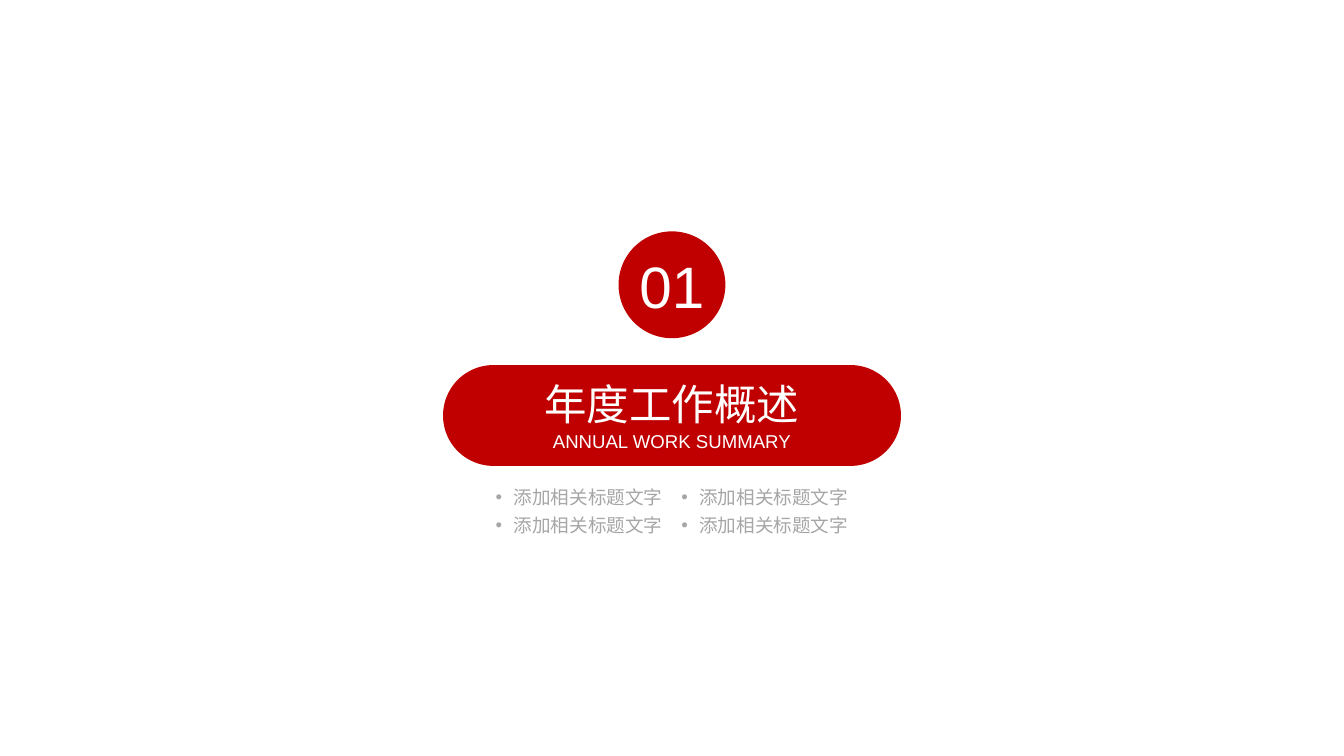
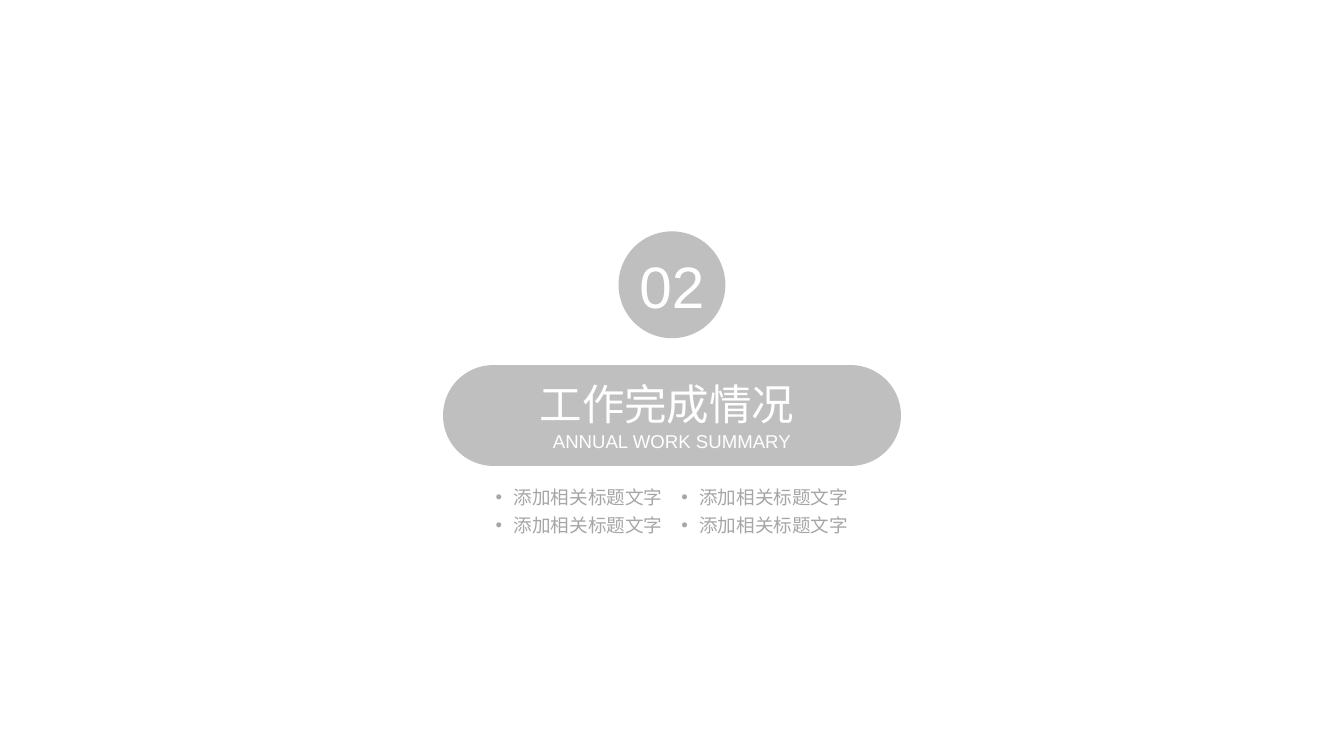
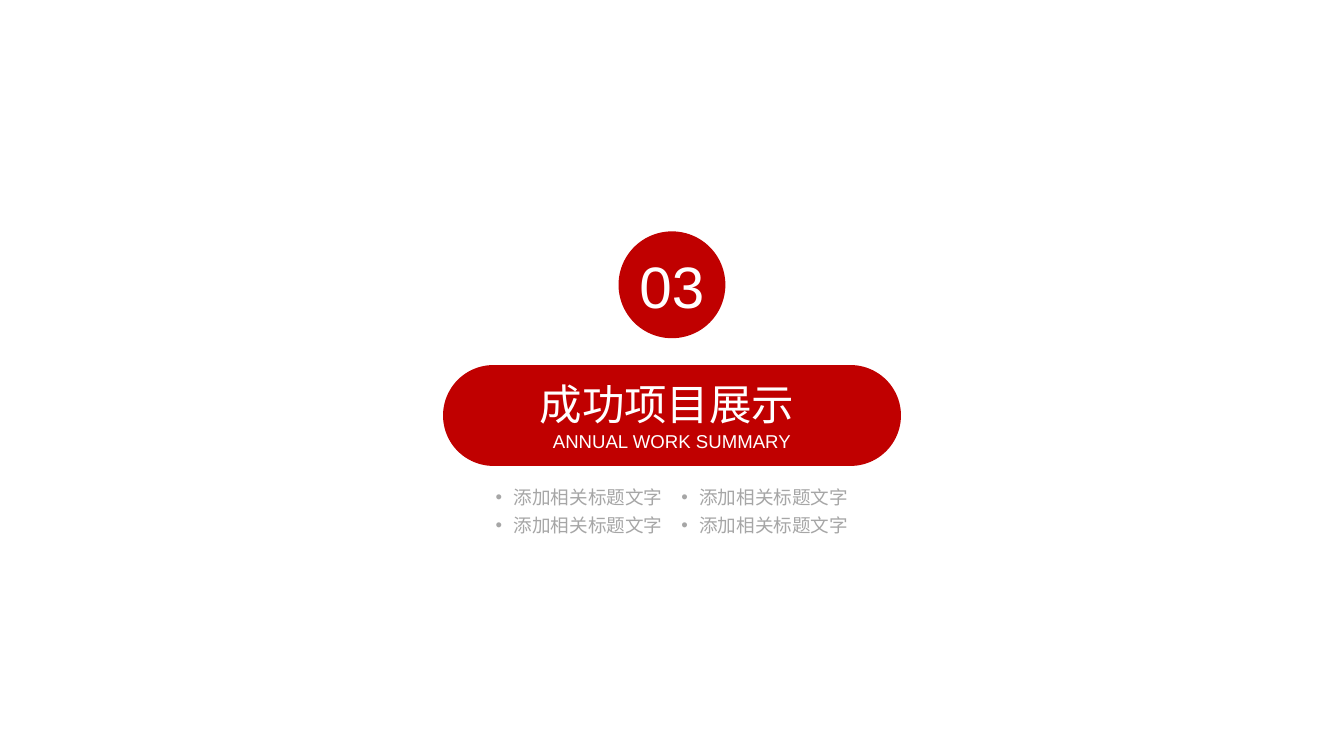
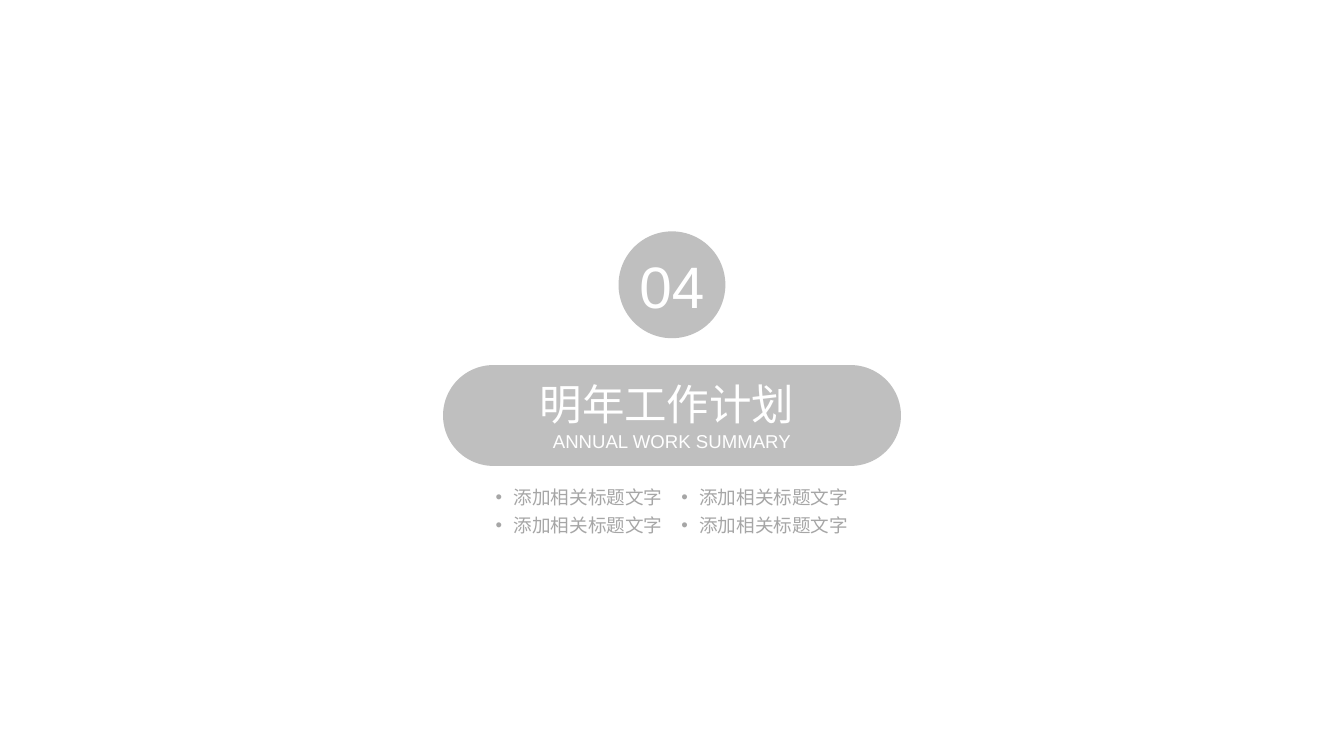
from pptx import Presentation
from pptx.dml.color import RGBColor
from pptx.enum import shapes, text
from pptx.oxml.ns import qn
from pptx.util import Pt
from lxml import etree

RED = RGBColor(0xC0, 0x00, 0x00)
SILVER = RGBColor(0xBF, 0xBF, 0xBF)
GRAY = RGBColor(0xA6, 0xA6, 0xA6)
WHITE = RGBColor(0xFF, 0xFF, 0xFF)
CENTER, LEFT = text.PP_ALIGN.CENTER, text.PP_ALIGN.LEFT
MIDDLE, TOP = text.MSO_ANCHOR.MIDDLE, text.MSO_ANCHOR.TOP

WIDTH, HEIGHT = 1012.5, 569.5
PILL_WIDTH, CIRCLE_SIZE, HEADING_WIDTH = 345, 80.5, 199.5
TOPIC_WIDTH, TOPIC_GAP = 126.8, 13
TOPIC_INDENT = 13.5


def write(box, *lines, color=WHITE, anchor=MIDDLE, wrap=True, bullet=False):
    """Fill a box with (text, size, alignment) lines."""
    frame = box.text_frame
    frame.margin_left = frame.margin_right = frame.margin_top = frame.margin_bottom = 0
    frame.vertical_anchor = anchor
    frame.word_wrap = wrap
    for index, (words, size, align) in enumerate(lines):
        paragraph = frame.add_paragraph() if index else frame.paragraphs[0]
        paragraph.alignment = align
        if bullet:
            properties = paragraph._p.get_or_add_pPr()
            properties.set("marL", str(Pt(TOPIC_INDENT)))
            properties.set("indent", str(-Pt(TOPIC_INDENT)))
            etree.SubElement(properties, qn("a:buFont"), typeface="Arial")
            etree.SubElement(properties, qn("a:buChar"), char="•")
        run = paragraph.add_run()
        run.text = words
        run.font.size = Pt(size)
        run.font.name = "Arial"
        run.font.color.rgb = color


def add_centered(slide, kind, top, width, height, color):
    """Add a plain filled shape on the vertical axis of the slide."""
    shape = slide.shapes.add_shape(
        kind, Pt((WIDTH - width) / 2), Pt(top), Pt(width), Pt(height))
    shape.shadow.inherit = False
    shape.fill.solid()
    shape.fill.fore_color.rgb = color
    shape.line.fill.background()
    return shape


prs = Presentation()
prs.slide_width, prs.slide_height = Pt(WIDTH), Pt(HEIGHT)

sections = [
    ("年度工作概述", RED, CENTER),
    ("工作完成情况", SILVER, LEFT),
    ("成功项目展示", RED, LEFT),
    ("明年工作计划", SILVER, LEFT),
]

for number, (heading, color, heading_align) in enumerate(sections, 1):
    slide = prs.slides.add_slide(prs.slide_layouts[6])

    # Pill and section number
    pill = add_centered(slide, shapes.MSO_SHAPE.ROUNDED_RECTANGLE, 275, PILL_WIDTH, 76, color)
    pill.adjustments[0] = 0.5
    circle = add_centered(slide, shapes.MSO_SHAPE.OVAL, 174.3, CIRCLE_SIZE, CIRCLE_SIZE, color)
    write(circle, (f"{number:02d}", 44, CENTER))

    # Heading over the pill
    heading_box = slide.shapes.add_textbox(
        Pt((WIDTH - HEADING_WIDTH) / 2), Pt(285), Pt(HEADING_WIDTH), Pt(55.5))
    write(heading_box, (heading, 32, heading_align), ("ANNUAL WORK SUMMARY", 14, CENTER))

    # Two by two topics under the pill
    topics_left = (WIDTH - 2 * TOPIC_WIDTH - TOPIC_GAP) / 2
    for row in range(2):
        for column in range(2):
            topic = slide.shapes.add_textbox(
                Pt(topics_left + column * (TOPIC_WIDTH + TOPIC_GAP)),
                Pt(366 + row * 21.3), Pt(TOPIC_WIDTH), Pt(17))
            write(topic, ("添加相关标题文字", 14, CENTER),
                  color=GRAY, anchor=TOP, wrap=False, bullet=True)

prs.save("out.pptx")
